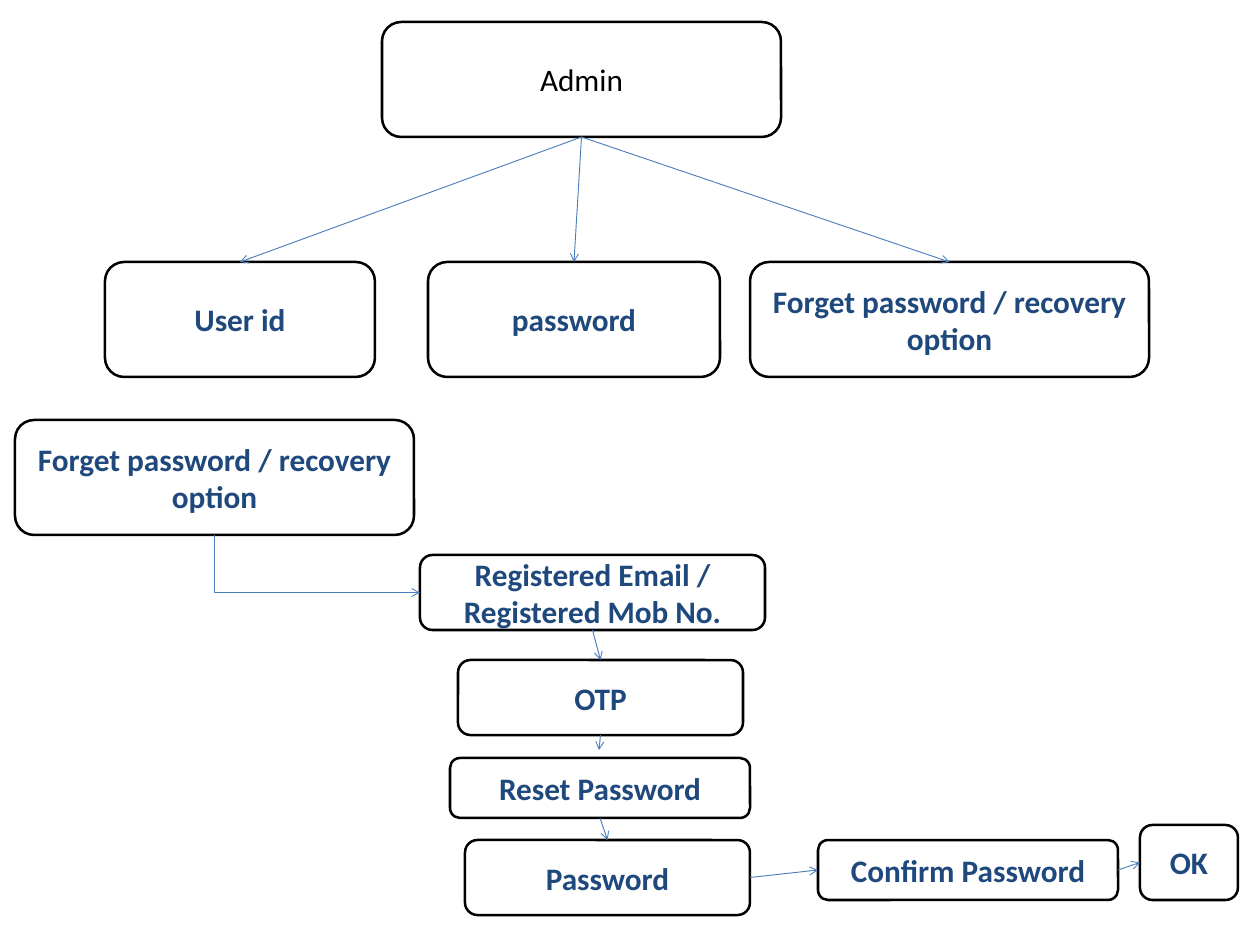
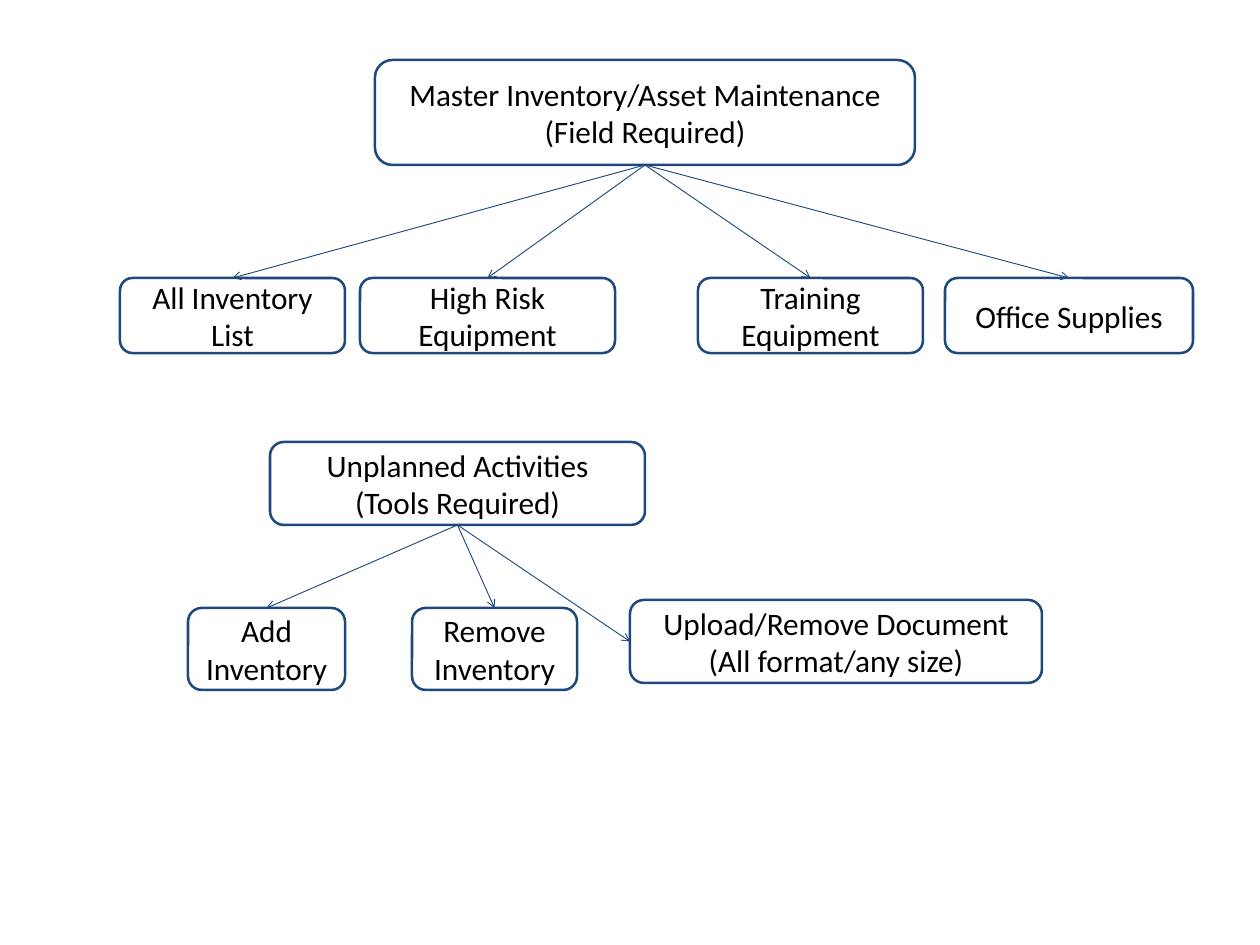
from dataclasses import dataclass

from lxml.etree import SubElement
from pptx import Presentation
from pptx.dml.color import RGBColor
from pptx.enum.shapes import MSO_CONNECTOR as LINK, MSO_SHAPE as SHAPE
from pptx.enum.text import MSO_ANCHOR as ANCHOR, PP_ALIGN as ALIGN
from pptx.oxml.ns import qn
from pptx.util import Pt

PX = 914400 // 90
SLIDE_WIDTH, SLIDE_HEIGHT = 1260, 945
TOP, LEFT, BOTTOM, RIGHT = range(4)


@dataclass(frozen=True)
class Theme:
    font: str = "Calibri"
    text_size: int = 25
    border_width: float = 2
    arrow_width: float = 0.75
    inset_x: int = 13
    inset_y: int = 6
    black: RGBColor = RGBColor(0, 0, 0)
    white: RGBColor = RGBColor(255, 255, 255)
    navy: RGBColor = RGBColor(0x1F, 0x49, 0x7D)
    blue: RGBColor = RGBColor(0x4A, 0x7E, 0xBB)


THEME = Theme()

# Rows: top, height, then boxes as key, label, left, width.
# Arrows: source, side, target, side.
LOGIN = {
    "border": THEME.black,
    "arrow": THEME.blue,
    "text": THEME.navy,
    "bold": True,
    "plain": {"admin"},
    "rows": [
        (22, 115, [("admin", "Admin", 382, 399)]),
        (262, 115, [
            ("user", "User id", 105, 270),
            ("login", "password", 428, 292),
            ("forget", "Forget password / recovery option", 750, 399),
        ]),
        (420, 115, [("recovery", "Forget password / recovery option", 15, 399)]),
        (555, 75, [("contact", "Registered Email / Registered Mob No.", 420, 345)]),
        (660, 75, [("otp", "OTP", 458, 285)]),
        (758, 60, [("reset", "Reset Password", 450, 300)]),
        (840, 75, [("new", "Password", 465, 285)]),
        (840, 60, [("confirm", "Confirm Password", 818, 300)]),
        (825, 75, [("ok", "OK", 1140, 98)]),
    ],
    "arrows": [
        *[("admin", BOTTOM, child, TOP) for child in ("user", "login", "forget")],
        ("contact", BOTTOM, "otp", TOP),
        ("reset", BOTTOM, "new", TOP),
        ("new", RIGHT, "confirm", LEFT),
        ("confirm", RIGHT, "ok", LEFT),
    ],
    "elbows": [("recovery", "contact")],
    "open_arrows": [("otp", 599, 750)],
}

INVENTORY = {
    "border": THEME.navy,
    "arrow": THEME.navy,
    "text": THEME.black,
    "bold": False,
    "plain": set(),
    "rows": [
        (60, 105, [
            ("master", "Master Inventory/Asset Maintenance\n(Field Required)", 375, 540),
        ]),
        (278, 75, [
            ("all", "All Inventory List", 120, 225),
            ("risk", "High Risk Equipment", 360, 255),
            ("training", "Training Equipment", 698, 225),
            ("office", "Office Supplies", 945, 248),
        ]),
        (442, 83, [("unplanned", "Unplanned Activities (Tools Required)", 270, 375)]),
        (608, 82, [
            ("add", "Add Inventory", 188, 157),
            ("remove", "Remove Inventory", 412, 165),
        ]),
        (600, 83, [
            ("upload", "Upload/Remove Document\n(All format/any size)", 630, 412),
        ]),
    ],
    "arrows": [
        *[("master", BOTTOM, child, TOP) for child in ("all", "risk", "training", "office")],
        *[("unplanned", BOTTOM, child, TOP) for child in ("add", "remove")],
        ("unplanned", BOTTOM, "upload", LEFT),
    ],
    "elbows": [],
    "open_arrows": [],
}


def add_box(slide, label, bounds, border, color, bold):
    box = slide.shapes.add_shape(SHAPE.ROUNDED_RECTANGLE, *(n * PX for n in bounds))
    box.shadow.inherit = False
    box.fill.solid()
    box.fill.fore_color.rgb = THEME.white
    box.line.color.rgb = border
    box.line.width = Pt(THEME.border_width)
    frame = box.text_frame
    frame.word_wrap = True
    frame.vertical_anchor = ANCHOR.MIDDLE
    frame.margin_left = frame.margin_right = THEME.inset_x * PX
    frame.margin_top = frame.margin_bottom = THEME.inset_y * PX
    frame.text = label
    for line in frame.paragraphs:
        line.alignment = ALIGN.CENTER
        line.font.name = THEME.font
        line.font.size = Pt(THEME.text_size)
        line.font.bold = bold
        line.font.color.rgb = color
    return box


def add_arrow(slide, color, source, side, kind=LINK.STRAIGHT, end=(0, 0)):
    arrow = slide.shapes.add_connector(kind, 0, 0, *(n * PX for n in end))
    arrow.begin_connect(source, side)
    arrow.line.color.rgb = color
    arrow.line.width = Pt(THEME.arrow_width)
    properties = arrow._element.spPr
    SubElement(properties.find(qn("a:ln")), qn("a:tailEnd"), type="arrow")
    SubElement(properties, qn("a:effectLst"))
    return arrow


def turn_down_then_right(elbow):
    """Give the elbow a single corner: a quarter-turned, flipped bentConnector2."""
    across, down = elbow.width, elbow.height
    center_x, center_y = elbow.left + across // 2, elbow.top + down // 2
    elbow.left, elbow.top = center_x - down // 2, center_y - across // 2
    elbow.width, elbow.height = down, across
    properties = elbow._element.spPr
    frame = properties.find(qn("a:xfrm"))
    frame.set("rot", str(270 * 60000))
    frame.set("flipH", "1")
    properties.find(qn("a:prstGeom")).set("prst", "bentConnector2")


def build_flow(deck, flow):
    slide = deck.slides.add_slide(deck.slide_layouts[6])
    boxes = {}
    for top, height, row in flow["rows"]:
        for key, label, left, width in row:
            plain = key in flow["plain"]
            boxes[key] = add_box(
                slide, label, (left, top, width, height), flow["border"],
                THEME.black if plain else flow["text"], flow["bold"] and not plain)
    for source, side, target, target_side in flow["arrows"]:
        arrow = add_arrow(slide, flow["arrow"], boxes[source], side)
        arrow.end_connect(boxes[target], target_side)
    for source, target in flow["elbows"]:
        elbow = add_arrow(slide, flow["arrow"], boxes[source], BOTTOM, LINK.ELBOW)
        elbow.end_connect(boxes[target], LEFT)
        turn_down_then_right(elbow)
    for source, *end in flow["open_arrows"]:
        add_arrow(slide, flow["arrow"], boxes[source], BOTTOM, end=end)


def main():
    deck = Presentation()
    deck.slide_width, deck.slide_height = SLIDE_WIDTH * PX, SLIDE_HEIGHT * PX
    for flow in (LOGIN, INVENTORY):
        build_flow(deck, flow)
    deck.save("out.pptx")


if __name__ == "__main__":
    main()
